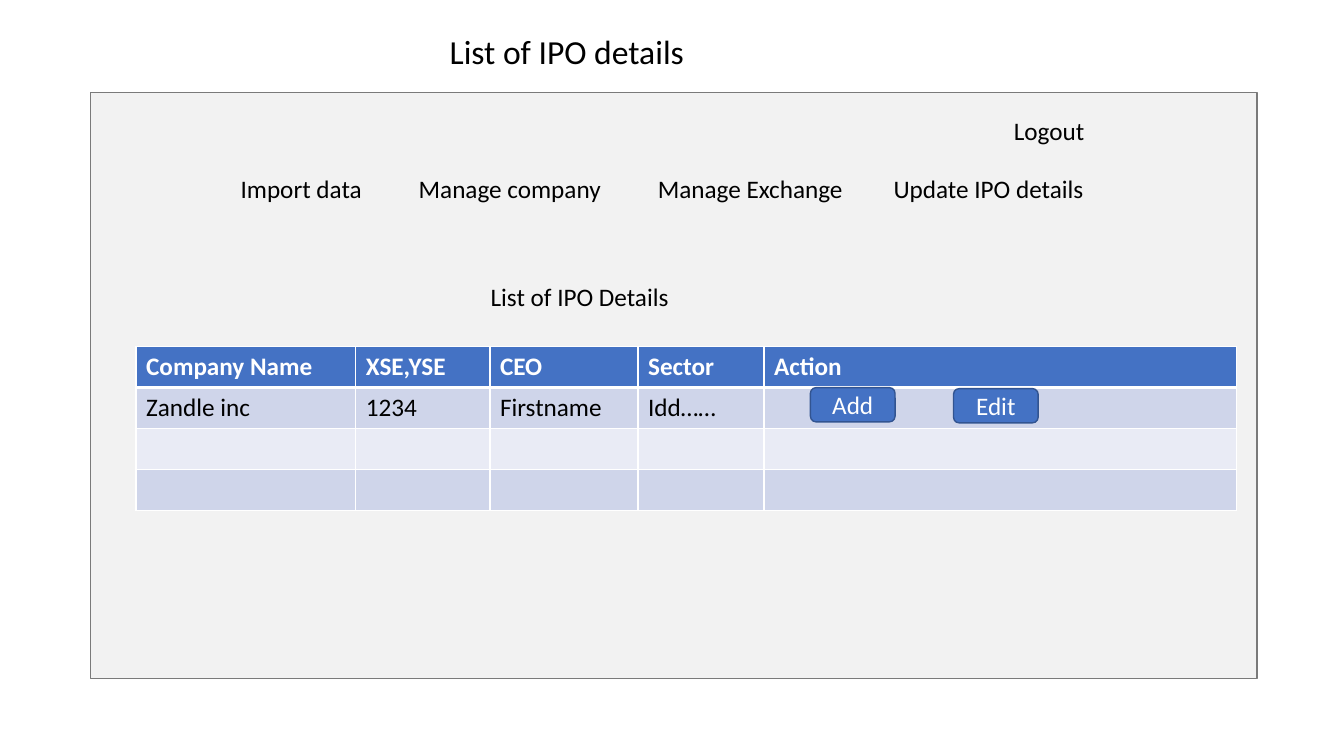
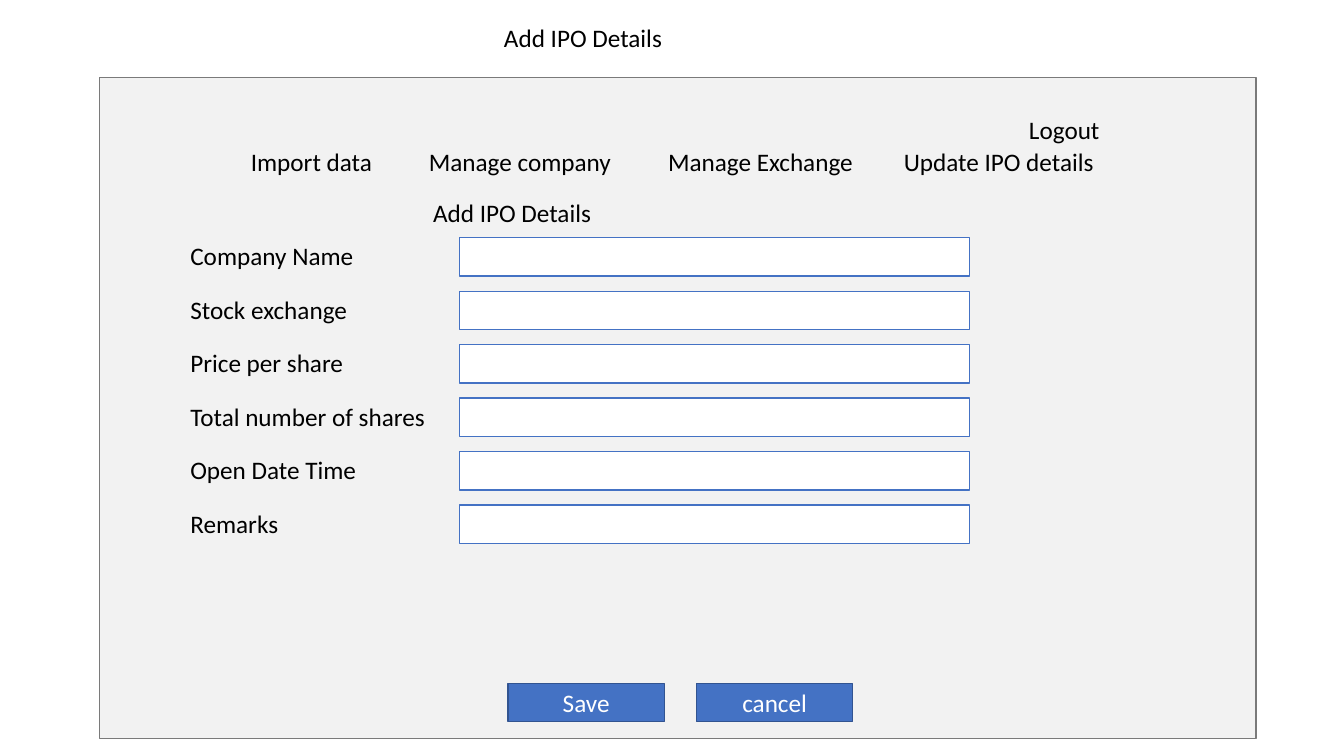
from lxml import etree
from pptx import Presentation
from pptx.dml.color import RGBColor
from pptx.enum.shapes import MSO_SHAPE
from pptx.enum.text import MSO_ANCHOR, MSO_AUTO_SIZE, PP_ALIGN
from pptx.oxml.ns import qn
from pptx.util import Pt

FONT = "Calibri"
BLACK, WHITE = "000000", "FFFFFF"
BLUE, DARK_BLUE = "4472C4", "325491"
PANEL_FILL, PANEL_LINE = "F2F2F2", "7A7A7A"
BANDS = ("CFD5EA", "E9EBF5")
LINE_HEIGHT = 28.8
MENU = ("Import data", "Manage company", "Manage Exchange", "Update IPO details")
MENU_TABS = (127.2, 298, 466.4)
COMPANY_ROWS = (
    ("Company Name", "XSE,YSE", "CEO", "Sector", "Action"),
    ("Zandle inc", "1234", "Firstname", "Idd……", ""),
    ("",) * 5,
    ("",) * 5,
)
COLUMN_WIDTHS = (157, 95.8, 105.8, 90, 337.2)
ROW_HEIGHT = 29.2
FIELDS = ("Company Name", "Stock exchange", "Price per share",
          "Total number of shares", "Open Date Time", "Remarks")


def rgb(value):
    return RGBColor.from_string(value)


def points(*values):
    return [Pt(value) for value in values]


def write(frame, text, size=18, color=BLACK, bold=False, align=PP_ALIGN.LEFT):
    paragraph = frame.paragraphs[0]
    paragraph.alignment = align
    run = paragraph.add_run()
    run.text = text
    run.font.name = FONT
    run.font.size = Pt(size)
    run.font.bold = bold
    run.font.color.rgb = rgb(color)
    return paragraph


def add_label(slide, x, y, width, text):
    frame = slide.shapes.add_textbox(*points(x, y, width, LINE_HEIGHT)).text_frame
    frame.word_wrap = True
    return write(frame, text)


def add_box(slide, x, y, width, height, fill, line, kind=MSO_SHAPE.RECTANGLE):
    box = slide.shapes.add_shape(kind, *points(x, y, width, height))
    box.shadow.inherit = False
    box.fill.solid()
    box.fill.fore_color.rgb = rgb(fill)
    box.line.color.rgb = rgb(line)
    box.line.width = Pt(1)
    return box


def add_button(slide, x, y, width, height, text, kind=MSO_SHAPE.RECTANGLE):
    button = add_box(slide, x, y, width, height, BLUE, DARK_BLUE, kind)
    button.text_frame.vertical_anchor = MSO_ANCHOR.MIDDLE
    write(button.text_frame, text, color=WHITE, align=PP_ALIGN.CENTER)


def add_title(slide, x, y, width, height, text, size):
    title = slide.shapes.title
    title.left, title.top, title.width, title.height = points(x, y, width, height)
    frame = title.text_frame
    frame.word_wrap = True
    frame.auto_size = MSO_AUTO_SIZE.NONE
    frame.vertical_anchor = MSO_ANCHOR.TOP
    write(frame, text, size)


def add_menu(slide, x, y):
    paragraph = add_label(slide, x, y, 623.5, "\t".join(MENU))
    tabs = etree.SubElement(paragraph._p.get_or_add_pPr(), qn("a:tabLst"))
    for position in MENU_TABS:
        etree.SubElement(tabs, qn("a:tab"), pos=str(Pt(position)), algn="l")


def add_panel(slide, x, y, width, height, menu, logout, heading, text):
    add_box(slide, x, y, width, height, PANEL_FILL, PANEL_LINE)
    add_menu(slide, x + menu[0], y + menu[1])
    add_label(slide, x + logout[0], y + logout[1], 78, "Logout")
    add_label(slide, x + heading[0], y + heading[1], 236, text)


def set_borders(cell, bottom):
    properties = cell._tc.get_or_add_tcPr()
    for side, width in (("L", 1), ("R", 1), ("T", 1), ("B", bottom)):
        line = etree.SubElement(properties, qn(f"a:ln{side}"), w=str(Pt(width)))
        fill = etree.SubElement(line, qn("a:solidFill"))
        etree.SubElement(fill, qn("a:srgbClr"), val=WHITE)


def add_company_table(slide, x, y):
    table = slide.shapes.add_table(
        len(COMPANY_ROWS), len(COLUMN_WIDTHS),
        *points(x, y, sum(COLUMN_WIDTHS), ROW_HEIGHT * len(COMPANY_ROWS))).table
    for column, width in zip(table.columns, COLUMN_WIDTHS):
        column.width = Pt(width)
    for r, texts in enumerate(COMPANY_ROWS):
        table.rows[r].height = Pt(ROW_HEIGHT)
        header = r == 0
        for c, text in enumerate(texts):
            cell = table.cell(r, c)
            set_borders(cell, 3 if header else 1)
            cell.fill.solid()
            cell.fill.fore_color.rgb = rgb(BLUE if header else BANDS[(r - 1) % 2])
            if text:
                write(cell.text_frame, text, color=WHITE if header else BLACK, bold=header)
    for i, text in enumerate(("Add", "Edit")):
        add_button(slide, x + 481.7 + i * 102.2, y + ROW_HEIGHT + i * 0.7, 60.5, 24.5,
                   text, MSO_SHAPE.ROUNDED_RECTANGLE)


def add_form(slide, x, y):
    for i, text in enumerate(FIELDS):
        top = y + i * 38.2
        add_label(slide, x, top, 191, text)
        add_box(slide, x + 199.4, top + 1.4, 364.3, 27.4, WHITE, BLUE)
    for i, text in enumerate(("Save", "cancel")):
        add_button(slide, x + 234 + i * 134.6, y + 319.7, 111.6, 27.4, text)


def build_list_slide(slide):
    x, y = 64.8, 66.2
    add_title(slide, 314, 18.7, 216.7, 36, "List of IPO details", 24)
    add_panel(slide, x, y, 833, 418.3, (100, 54), (652.3, 12.3), (278.6, 131),
              "List of IPO Details")
    add_company_table(slide, x + 32.4, y + 181.5)


def build_form_slide(slide):
    x, y = 71.3, 55.4
    add_title(slide, 352.8, 12.2, 256.3, LINE_HEIGHT, "Add IPO Details", 18)
    add_panel(slide, x, y, 825.8, 472.3, (100.8, 45.4), (656.6, 23), (231, 82),
              "Add IPO Details")
    add_form(slide, x + 57.6, y + 113)


deck = Presentation()
deck.slide_width, deck.slide_height = points(960, 540)
for build in (build_list_slide, build_form_slide):
    build(deck.slides.add_slide(deck.slide_layouts[5]))
deck.save("out.pptx")
